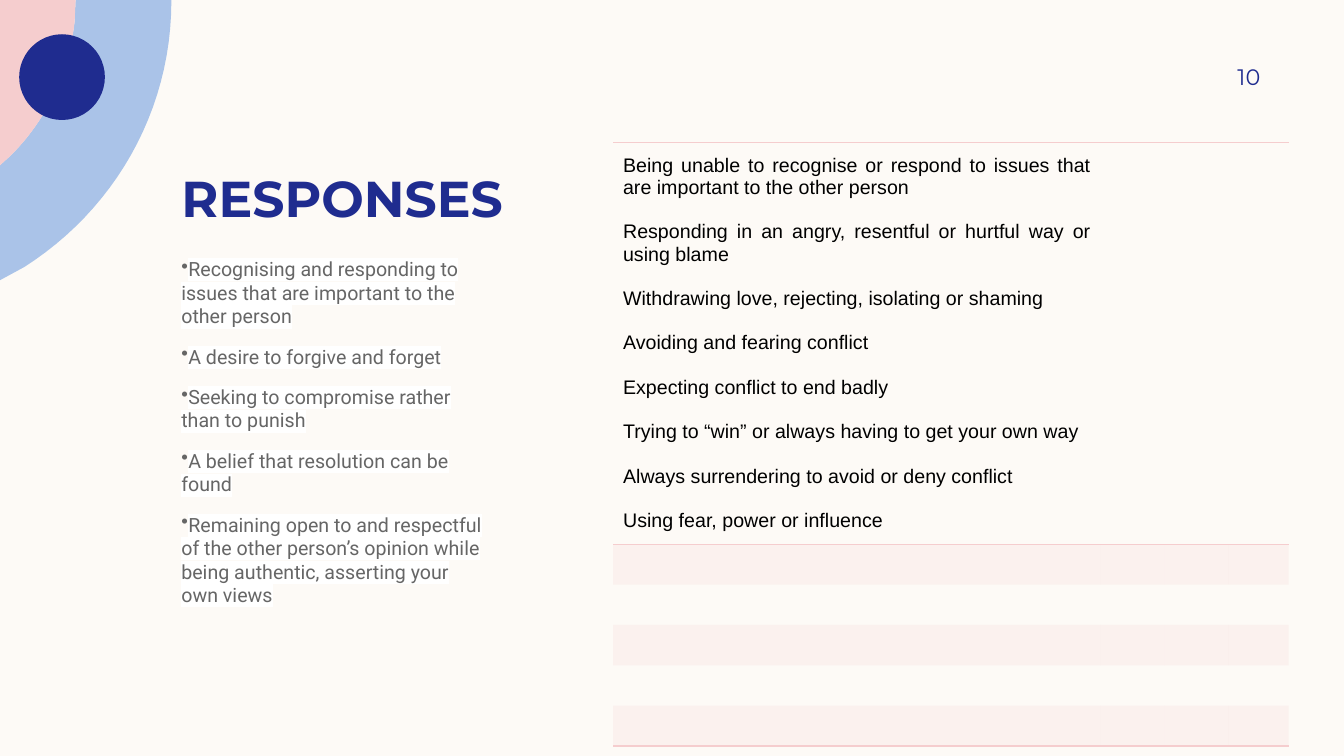
from lxml.etree import SubElement
from pptx import Presentation
from pptx.dml.color import RGBColor
from pptx.enum.shapes import MSO_SHAPE
from pptx.enum.text import MSO_ANCHOR, PP_ALIGN
from pptx.oxml.ns import qn
from pptx.util import Inches, Pt

COLORS = {"cream": "FDFAF6", "blue": "AAC3E8", "pink": "F5CDCE", "navy": "1F2C8F",
          "gray": "666666", "white": "FFFFFF", "black": "000000"}


def bezier(a, b, c, d, steps=24):
    return [tuple((1 - t) ** 3 * a[i] + 3 * (1 - t) ** 2 * t * b[i]
                  + 3 * (1 - t) * t ** 2 * c[i] + t ** 3 * d[i] for i in (0, 1))
            for t in (n / steps for n in range(steps + 1))]


def add_run(p, text, size, font, color, bold=False):
    r = p.add_run()
    r.text = text
    r.font.size = Pt(size)
    r.font.name = font
    r.font.bold = bold
    r.font.color.rgb = RGBColor.from_string(COLORS[color])
    return r


prs = Presentation()
prs.slide_width, prs.slide_height = Inches(13.33), Inches(7.5)
s = prs.slides.add_slide(prs.slide_layouts[5])
s.background.fill.solid()
s.background.fill.fore_color.rgb = RGBColor.from_string(COLORS["cream"])

outer = bezier((1.7, 0.01), (1.7, 1.12), (1.12, 2.09), (0.24, 2.65))
inner = bezier((0.74, 0.22), (0.68, 0.73), (0.46, 1.19), (0.11, 1.54))
ring = [(0.75, 0), (1.7, 0)] + outer + [(0, 2.78), (0, 1.64)] + inner[::-1]
core = [(0, 0), (0.75, 0)] + inner + [(0, 1.64)]
decorations = []
for points, color in ((ring, "blue"), (core, "pink")):
    corners = [(Inches(x), Inches(y)) for x, y in points]
    builder = s.shapes.build_freeform(*corners[0])
    builder.add_line_segments(corners[1:], close=True)
    decorations.append((builder.convert_to_shape(), color))
dot = s.shapes.add_shape(MSO_SHAPE.OVAL, Inches(0.19), Inches(0.34), Inches(0.85), Inches(0.85))
decorations.append((dot, "navy"))
for sp, color in decorations:
    sp.shadow.inherit = False
    sp.fill.solid()
    sp.fill.fore_color.rgb = RGBColor.from_string(COLORS[color])
    sp.line.fill.background()

title = s.shapes.title
title.left, title.top, title.width, title.height = Inches(1.7), Inches(1.19), Inches(10.8), Inches(1.07)
tf = title.text_frame
tf.word_wrap = True
tf.vertical_anchor = MSO_ANCHOR.BOTTOM
tf.margin_top = tf.margin_bottom = 0
p = tf.paragraphs[0]
p.alignment = PP_ALIGN.LEFT
add_run(p, "RESPONSES", 36, "Montserrat", "navy", True)

healthy = [
    "Recognising and responding to issues that are important to the other person",
    "A desire to forgive and forget",
    "Seeking to compromise rather than to punish",
    "A belief that resolution can be found",
    "Remaining open to and respectful of the other person’s opinion while being authentic, "
    "asserting your own views",
]
tf = s.shapes.add_textbox(Inches(1.7), Inches(2.55), Inches(3.25), Inches(4.05)).text_frame
tf.word_wrap = True
tf.margin_top = tf.margin_bottom = 0
for i, text in enumerate(healthy):
    p = tf.add_paragraph() if i else tf.paragraphs[0]
    p.space_after = Pt(12)
    SubElement(p._p.get_or_add_pPr(), qn("a:buChar"), char="•")
    r = add_run(p, text, 14, "Roboto", "gray")
    highlight = SubElement(r._r.rPr, qn("a:highlight"))
    SubElement(highlight, qn("a:srgbClr"), val=COLORS["white"])
    r._r.rPr.find(qn("a:solidFill")).addnext(highlight)

unhealthy = [
    "Being unable to recognise or respond to issues that are important to the other person",
    "Responding in an angry, resentful or hurtful way or using blame",
    "Withdrawing love, rejecting, isolating or shaming",
    "Avoiding and fearing conflict",
    "Expecting conflict to end badly",
    "Trying to “win” or always having to get your own way",
    "Always surrendering to avoid or deny conflict",
    "Using fear, power or influence",
]
widths = [4.84, 0.63, 0.63, 0.6]
heights = [3.81] + [0.4] * 5
frame = s.shapes.add_table(len(heights), len(widths), Inches(6.08), Inches(1.41),
                           Inches(sum(widths)), Inches(sum(heights)))
table = frame.table
table.first_row = table.horz_banding = False
table._tbl.tblPr.find(qn("a:tableStyleId")).text = "{2D5ABB26-0587-4C30-8999-92F81FD0307C}"
for col, width in zip(table.columns, widths):
    col.width = Inches(width)
borders = {0: ("a:lnT", "a:lnB"), len(heights) - 1: ("a:lnB",)}
for i, height in enumerate(heights):
    table.rows[i].height = Inches(height)
    for cell in table.rows[i].cells:
        tcPr = cell._tc.get_or_add_tcPr()
        for tag in borders.get(i, ()):
            ln = SubElement(tcPr, qn(tag), w=str(Pt(1)))
            SubElement(SubElement(ln, qn("a:solidFill")), qn("a:srgbClr"), val=COLORS["pink"])
        if i % 2:
            cell.fill.solid()
            cell.fill.fore_color.rgb = RGBColor.from_string(COLORS["pink"])
            SubElement(tcPr.find(qn("a:solidFill"))[0], qn("a:alpha"), val="20000")
        else:
            cell.fill.background()

cell = table.cell(0, 0)
cell.vertical_anchor = MSO_ANCHOR.MIDDLE
for i, text in enumerate(unhealthy):
    p = cell.text_frame.add_paragraph() if i else cell.text_frame.paragraphs[0]
    p.alignment = PP_ALIGN.JUSTIFY
    p.space_before = Pt(16 if i else 0)
    add_run(p, text, 14, "Arial", "black")

tf = s.shapes.add_textbox(Inches(11.33), Inches(0.5), Inches(1.17), Inches(0.52)).text_frame
tf.word_wrap = True
tf.vertical_anchor = MSO_ANCHOR.MIDDLE
tf.margin_right = 0
p = tf.paragraphs[0]
p.alignment = PP_ALIGN.RIGHT
add_run(p, "10", 16, "Montserrat", "navy")

prs.save("out.pptx")
